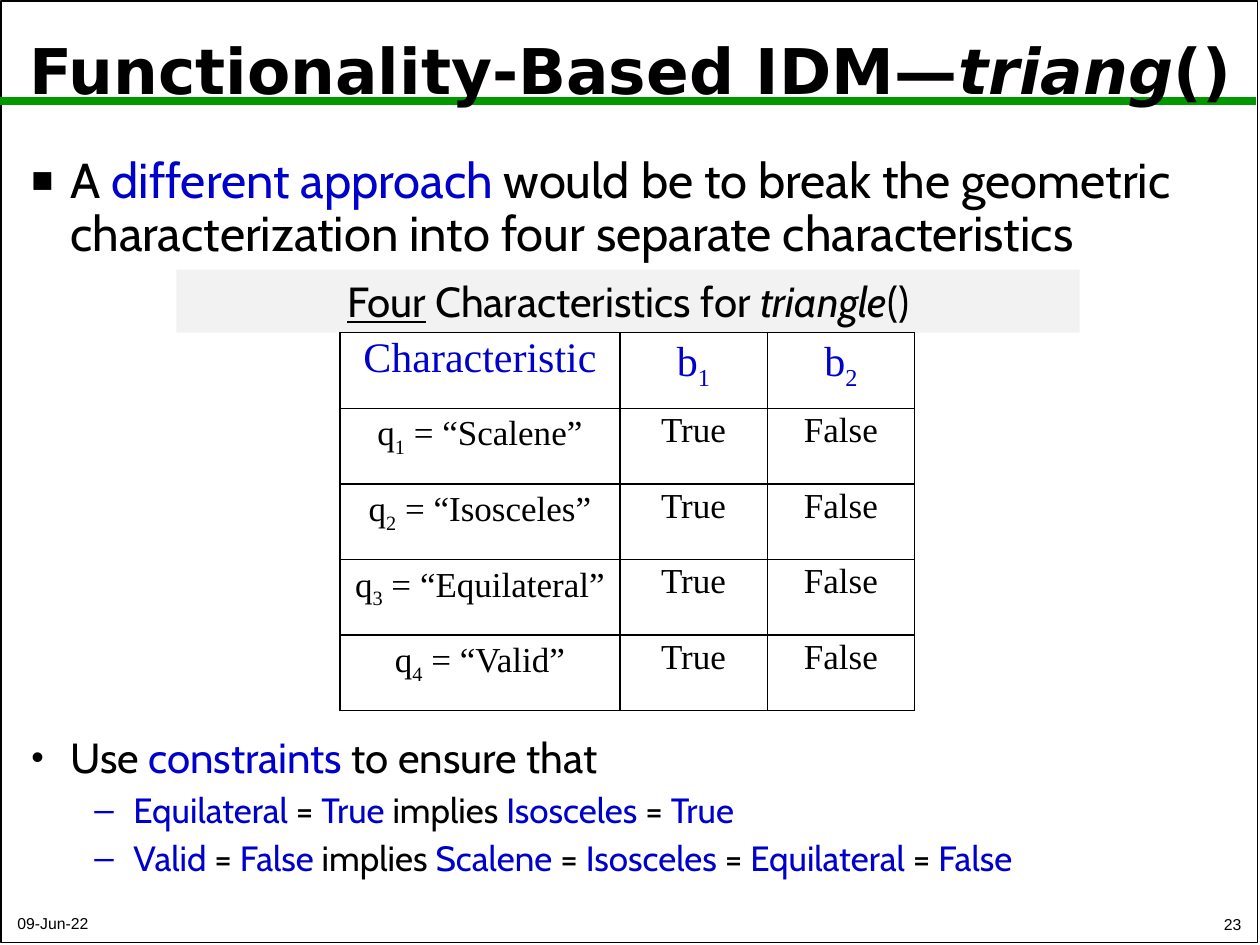
from itertools import cycle
from lxml import etree
from pptx import Presentation, util as u
from pptx.dml.color import RGBColor
from pptx.enum import shapes, text
from pptx.oxml import ns

Inches, Pt = u.Inches, u.Pt
MID = text.PP_ALIGN.CENTER
THEME = {
    "black": RGBColor.from_string("000000"),
    "blue": RGBColor.from_string("0000CC"),
    "green": RGBColor.from_string("009900"),
    "gray": RGBColor.from_string("F2F2F2"),
    "title": {"name": "DejaVu Sans", "size": Pt(36), "bold": True},
    "lead": {"name": "Cabin", "size": Pt(28)},
    "body": {"name": "Cabin", "size": Pt(24)},
    "sub": {"name": "Cabin", "size": Pt(20)},
    "head": {"name": "Times New Roman", "size": Pt(24)},
    "cell": {"name": "Times New Roman", "size": Pt(20)},
    "foot": {"name": "Arial", "size": Pt(9)},
}
BLUE, LOW, SLANT, UNDER = {"rgb": THEME["blue"]}, {"base": -25000}, {"italic": True}, {"underline": True}


def add(parent, tag, **attrs):
    return etree.SubElement(parent, ns.qn(tag), attrs)


def write(par, words, style, marks=(BLUE,), color="black", **form):
    for key, val in form.items():
        setattr(par, key, val)
    turn = cycle(marks)
    for i, part in enumerate(words.split("|")):
        look = {"rgb": THEME[color], **THEME[style], **(next(turn) if i % 2 else {})}
        if not part:
            continue
        run = par.add_run()
        run.text = part
        run.font.color.rgb = look.pop("rgb")
        base = look.pop("base", 0)
        for key, val in look.items():
            setattr(run.font, key, val)
        if base:
            run._r.get_or_add_rPr().set("baseline", str(base))


prs = Presentation()
prs.slide_width, prs.slide_height = Inches(10), Inches(7.5)
slide = prs.slides.add_slide(prs.slide_layouts[6])
draw = slide.shapes

frame = draw.add_shape(shapes.MSO_SHAPE.RECTANGLE, Inches(0.01), Inches(0.01), Inches(9.97), Inches(7.47))
frame.shadow.inherit = False
frame.fill.background()
frame.line.color.rgb, frame.line.width = THEME["black"], Pt(1)

rule = draw.add_connector(shapes.MSO_CONNECTOR.STRAIGHT, 0, Inches(0.8), Inches(9.97), Inches(0.8))
rule.line.color.rgb, rule.line.width = THEME["green"], Pt(4.5)
add(rule._element.spPr, "a:effectLst")

band = draw.add_shape(shapes.MSO_SHAPE.RECTANGLE, Inches(1.4), Inches(2.14), Inches(7.17), Inches(0.5))
band.shadow.inherit = False
band.fill.solid()
band.fill.fore_color.rgb = THEME["gray"]
band.line.fill.background()
write(band.text_frame.paragraphs[0], "|Four| Characteristics for |triangle|()", "body",
      (UNDER, SLANT), alignment=MID)

TOP, CORE, BASE = text.MSO_ANCHOR.TOP, text.MSO_ANCHOR.MIDDLE, text.MSO_ANCHOR.BOTTOM
LEFT, RIGHT = text.PP_ALIGN.LEFT, text.PP_ALIGN.RIGHT
boxes = [
    ((0.05, 0.11, 9.9, 0.95), CORE, True, [
        ("Functionality-Based IDM—|triang|()", "title", (SLANT,), MID, 0.9, None)]),
    ((0.15, 1.19, 9.69, 0.92), TOP, True, [
        ("A |different approach |would be to break the geometric characterization"
         " into four separate characteristics", "lead", (BLUE,), LEFT, 0.9, ("■", 75, 0.31))]),
    ((0.15, 5.8, 9.69, 1.19), TOP, True, [
        ("Use |constraints |to ensure that", "body", (BLUE,), LEFT, 0.9, ("•", 85, 0.31)),
        ("|Equilateral |= |True |implies |Isosceles |= |True", "sub", (BLUE,), LEFT, 0.9, ("–", 100, 0.81)),
        ("|Valid |= |False |implies |Scalene |= |Isosceles |= |Equilateral |= |False", "sub",
         (BLUE,), LEFT, 0.9, ("–", 100, 0.81))]),
    ((0.04, 7.18, 4.2, 0.27), BASE, False, [("09-Jun-22", "foot", (BLUE,), LEFT, 1.0, None)]),
    ((7.87, 7.17, 2.08, 0.29), BASE, False, [("23", "foot", (BLUE,), RIGHT, 1.0, None)]),
]
for place, anchor, wrap, lines in boxes:
    body = draw.add_textbox(*map(Inches, place)).text_frame
    body.word_wrap, body.vertical_anchor = wrap, anchor
    for i, (words, style, marks, side, gap, mark) in enumerate(lines):
        par = body.add_paragraph() if i else body.paragraphs[0]
        if mark:
            sign, size, inset = mark
            props = par._p.get_or_add_pPr()
            props.set("marL", str(Inches(inset)))
            props.set("indent", str(Inches(-0.31)))
            add(props, "a:buSzPct", val=str(size * 1000))
            add(props, "a:buFont", typeface="Arial")
            add(props, "a:buChar", char=sign)
        write(par, words, style, marks, alignment=side, line_spacing=gap,
              space_before=Pt(6 if i else 0))

names = ["Scalene", "Isosceles", "Equilateral", "Valid"]
rows = [("Characteristic", "b|1", "b|2")]
rows += [(f"q|{n}| = “{name}”", "True", "False") for n, name in enumerate(names, 1)]
grid = draw.add_table(len(rows), 3, Inches(2.7), Inches(2.64), Inches(4.57), Inches(2.99)).table
grid.first_row = grid.horz_banding = False
for col, width in zip(grid.columns, (2.22, 1.17, 1.17)):
    col.width = Inches(width)
for r, row in enumerate(rows):
    grid.rows[r].height = Inches(0.6)
    for c, words in enumerate(row):
        cell = grid.cell(r, c)
        props = cell._tc.get_or_add_tcPr()
        for edge in ("a:lnL", "a:lnR", "a:lnT", "a:lnB"):
            fill = add(add(props, edge, w=str(Pt(1))), "a:solidFill")
            add(fill, "a:srgbClr", val=str(THEME["black"]))
        cell.fill.background()
        write(cell.text_frame.paragraphs[0], words, "cell" if r else "head", (LOW,),
              "black" if r else "blue", alignment=MID, line_spacing=0.9)

prs.save("out.pptx")
